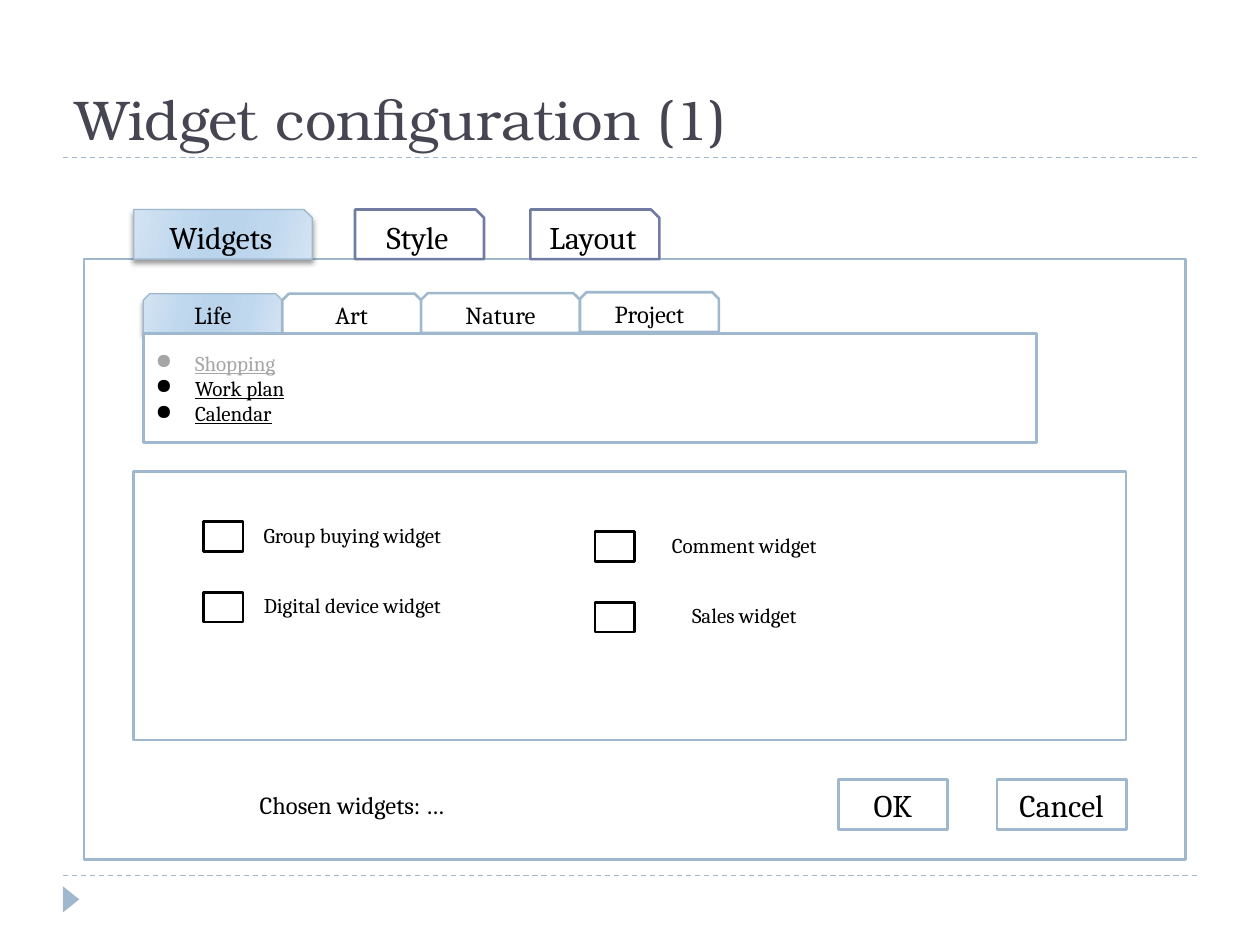
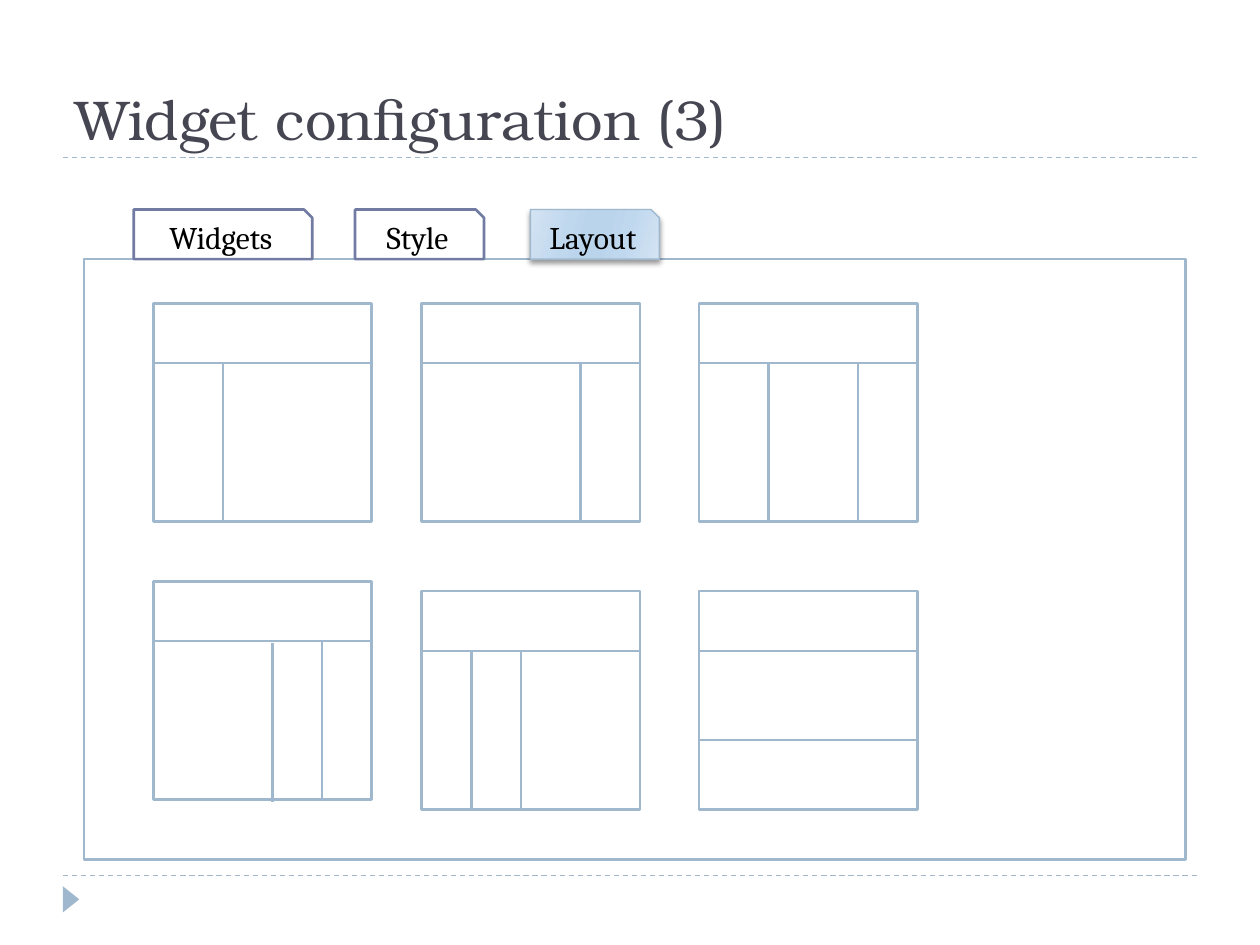
from dataclasses import dataclass

from lxml.etree import SubElement
from pptx import Presentation
from pptx.dml.color import RGBColor
from pptx.enum.dml import MSO_LINE
from pptx.enum.shapes import MSO_CONNECTOR, MSO_SHAPE
from pptx.enum.text import MSO_ANCHOR, PP_ALIGN
from pptx.oxml.ns import qn
from pptx.util import Pt


@dataclass(frozen=True)
class Theme:
    white: str = "FFFFFF"
    black: str = "000000"
    muted: str = "A6A6A6"
    title: str = "464653"
    accent: str = "9FB8CD"
    tab_border: str = "727CA3"
    active_stops: tuple = ((0, "D3E3F2"), (30, "C0D8EE"), (45, "BAD4EC"),
                           (55, "BAD4EC"), (73, "C0D8EE"), (100, "D3E3F2"))
    title_font: str = "TeX Gyre Bonum"
    body_font: str = "Cambria"
    title_size: float = 32
    large: float = 18
    medium: float = 14
    small: float = 12
    thin: float = 0.75
    divider: float = 1.25
    border: float = 1.5


@dataclass(frozen=True)
class Box:
    left: float
    top: float
    width: float
    height: float

    def inner(self, left, top, width, height):
        """Return a box whose position is measured from this one's corner."""
        return Box(self.left + left, self.top + top, width, height)

    def lengths(self):
        return [Pt(value) for value in (self.left, self.top, self.width, self.height)]


THEME = Theme()
PAGE = Box(0, 0, 720, 540)
PANEL = PAGE.inner(48.1, 148.1, 629.3, 343.1)


def color(value):
    return RGBColor.from_string(value)


def write_text(shape, text, size=THEME.large, font=THEME.body_font, ink=THEME.black,
               align=PP_ALIGN.CENTER, anchor=MSO_ANCHOR.MIDDLE):
    """Write one paragraph per line of text and return the paragraphs."""
    frame = shape.text_frame
    frame.word_wrap = True
    frame.vertical_anchor = anchor
    frame.text = text
    for paragraph in frame.paragraphs:
        paragraph.alignment = align
        paragraph.font.size = Pt(size)
        paragraph.font.name = font
        paragraph.font.color.rgb = color(ink)
    return frame.paragraphs


def add_box(slide, box, kind=MSO_SHAPE.RECTANGLE, fill=THEME.white,
            border=THEME.accent, weight=THEME.border):
    shape = slide.shapes.add_shape(kind, *box.lengths())
    shape.shadow.inherit = False
    shape.fill.solid()
    shape.fill.fore_color.rgb = color(fill)
    if border:
        shape.line.color.rgb = color(border)
        shape.line.width = Pt(weight)
    else:
        shape.line.fill.background()
    return shape


def add_line(slide, start, end, weight=THEME.border, dash=None):
    points = [Pt(value) for value in (*start, *end)]
    line = slide.shapes.add_connector(MSO_CONNECTOR.STRAIGHT, *points)
    line.line.color.rgb = color(THEME.accent)
    line.line.width = Pt(weight)
    if dash:
        line.line.dash_style = dash
    SubElement(line._element.spPr, qn("a:effectLst"))


def add_color(parent, value):
    return SubElement(parent, qn("a:srgbClr"), val=value)


def mark_active(shape):
    """Give a tab the glossy gradient, thin border and drop shadow."""
    shape.fill.gradient()
    shape.fill.gradient_angle = 344
    properties = shape._element.spPr
    stops = properties.find(qn("a:gradFill")).find(qn("a:gsLst"))
    for stop in list(stops):
        stops.remove(stop)
    for position, value in THEME.active_stops:
        add_color(SubElement(stops, qn("a:gs"), pos=str(position * 1000)), value)
    shape.line.color.rgb = color(THEME.accent)
    shape.line.width = Pt(THEME.thin)
    shadow = SubElement(properties.find(qn("a:effectLst")), qn("a:outerShdw"),
                        blurRad=str(Pt(3)), dist=str(Pt(2)), dir="5400000",
                        rotWithShape="0")
    SubElement(add_color(shadow, THEME.black), qn("a:alpha"), val="40000")


def add_bullet(paragraph):
    indent = Pt(22.5)
    properties = paragraph._p.get_or_add_pPr()
    properties.set("marL", str(indent))
    properties.set("indent", str(-indent))
    SubElement(properties, qn("a:buChar"), char="●")
    # The bullet precedes the default run properties in the schema.
    defaults = properties.find(qn("a:defRPr"))
    if defaults is not None:
        properties.append(defaults)


def add_frame(slide, title):
    """Draw the title, the dashed rules and the footer marker."""
    for top in (500.4, 90):
        add_line(slide, (36, top), (684, top), THEME.thin, MSO_LINE.DASH)
    marker = add_box(slide, PAGE.inner(33.1, 509.2, 15, 9.4),
                     MSO_SHAPE.ISOSCELES_TRIANGLE, THEME.accent, None)
    marker.rotation = 90
    heading = slide.shapes.add_textbox(*PAGE.inner(36, 18, 648, 72).lengths())
    write_text(heading, title, THEME.title_size, THEME.title_font, THEME.title,
               PP_ALIGN.LEFT, MSO_ANCHOR.BOTTOM)


def add_main_tabs(slide, panel, active):
    height = 28.35
    add_box(slide, panel)
    for name, left, width in (("Style", 154.8, 73.7), ("Layout", 255, 73.7),
                              ("Widgets", 28.35, 102)):
        tab = add_box(slide, panel.inner(left, -height, width, height),
                      MSO_SHAPE.SNIP_1_RECTANGLE, border=THEME.tab_border)
        write_text(tab, name)
        if name == active:
            mark_active(tab)


def add_category_list(slide, box):
    """Draw the category tabs with the bulleted list under them."""
    left = 0
    height = 22.7
    for name, width, top in (("Life", 79.4, -22.7), ("Art", 79.4, -22.7),
                             ("Nature", 90.7, -23), ("Project", 79.4, -23.5)):
        tab = add_box(slide, box.inner(left, top, width, height),
                      MSO_SHAPE.SNIP_2_SAME_RECTANGLE)
        write_text(tab, name, THEME.medium)
        if name == "Life":
            mark_active(tab)
        left += width

    listing = add_box(slide, box)
    paragraphs = write_text(listing, "Shopping\nWork plan\nCalendar", THEME.small,
                            align=PP_ALIGN.LEFT)
    for paragraph in paragraphs:
        add_bullet(paragraph)
        run = paragraph.runs[0]
        run.font.underline = True
        run.font.color.rgb = color(THEME.muted if run.text == "Shopping" else THEME.black)


def add_widget_options(slide, box):
    add_box(slide, box)
    columns = ((39.7, 28.6, ("Group buying widget", "Digital device widget")),
               (263.6, 34.3, ("Comment widget", "Sales widget")))
    for left, top, names in columns:
        for row, name in enumerate(names):
            check = box.inner(left, top + row * 40.3, 22.7, 17)
            label = add_box(slide, check.inner(22.9, -5.7, 124.7, 26.4), border=None)
            write_text(label, name, THEME.small)
            add_box(slide, check, border=THEME.black)


def add_action_row(slide, box):
    chosen = add_box(slide, box.inner(0, 0, 249.4, box.height), border=None)
    write_text(chosen, "Chosen widgets: …", THEME.medium)
    for name, left, width in (("OK", 402.6, 62.4), ("Cancel", 493.2, 74)):
        button = add_box(slide, box.inner(left, 0, width, box.height))
        write_text(button, name)


def add_page_layout(slide, box, columns=(), rows=(), first_drop=0):
    """Draw a page sketch: a header, column dividers and further row dividers."""
    header = 34
    add_box(slide, box)
    for offset in (header, *rows):
        top = box.top + offset
        add_line(slide, (box.left, top), (box.left + box.width, top), THEME.divider)
    for index, offset in enumerate(columns):
        left = box.left + offset
        drop = first_drop if index == 0 else 0
        add_line(slide, (left, box.top + header + drop),
                 (left, box.top + box.height + drop))


def add_layout_choices(slide, panel):
    size = 124.7
    lefts = (39.6, 192.9, 351.4)
    sketches = (
        (0, 25.2, {"columns": (39.7,)}),
        (1, 25.2, {"columns": (90.7,)}),
        (2, 25.2, {"columns": (39.7, 90.7)}),
        (0, 184, {"columns": (68, 96.4), "first_drop": 1.6}),
        (1, 189.7, {"columns": (28.35, 56.7)}),
        (2, 189.7, {"rows": (85.1,)}),
    )
    for column, top, dividers in sketches:
        add_page_layout(slide, panel.inner(lefts[column], top, size, size), **dividers)


def add_configuration_slide(presentation, title, active):
    slide = presentation.slides.add_slide(presentation.slide_layouts[6])
    add_frame(slide, title)
    add_main_tabs(slide, PANEL, active)
    return slide


def add_widgets_slide(presentation):
    slide = add_configuration_slide(presentation, "Widget configuration (1)", "Widgets")
    add_category_list(slide, PANEL.inner(33.8, 42.4, 510.4, 62.4))
    add_widget_options(slide, PANEL.inner(28.35, 121.5, 567, 153.4))
    add_action_row(slide, PANEL.inner(28.35, 297.5, 567, 28.35))


def add_layout_slide(presentation):
    slide = add_configuration_slide(presentation, "Widget configuration (3)", "Layout")
    add_layout_choices(slide, PANEL)


def main():
    presentation = Presentation()
    presentation.slide_width = Pt(PAGE.width)
    presentation.slide_height = Pt(PAGE.height)
    add_widgets_slide(presentation)
    add_layout_slide(presentation)
    presentation.save("out.pptx")


if __name__ == "__main__":
    main()
